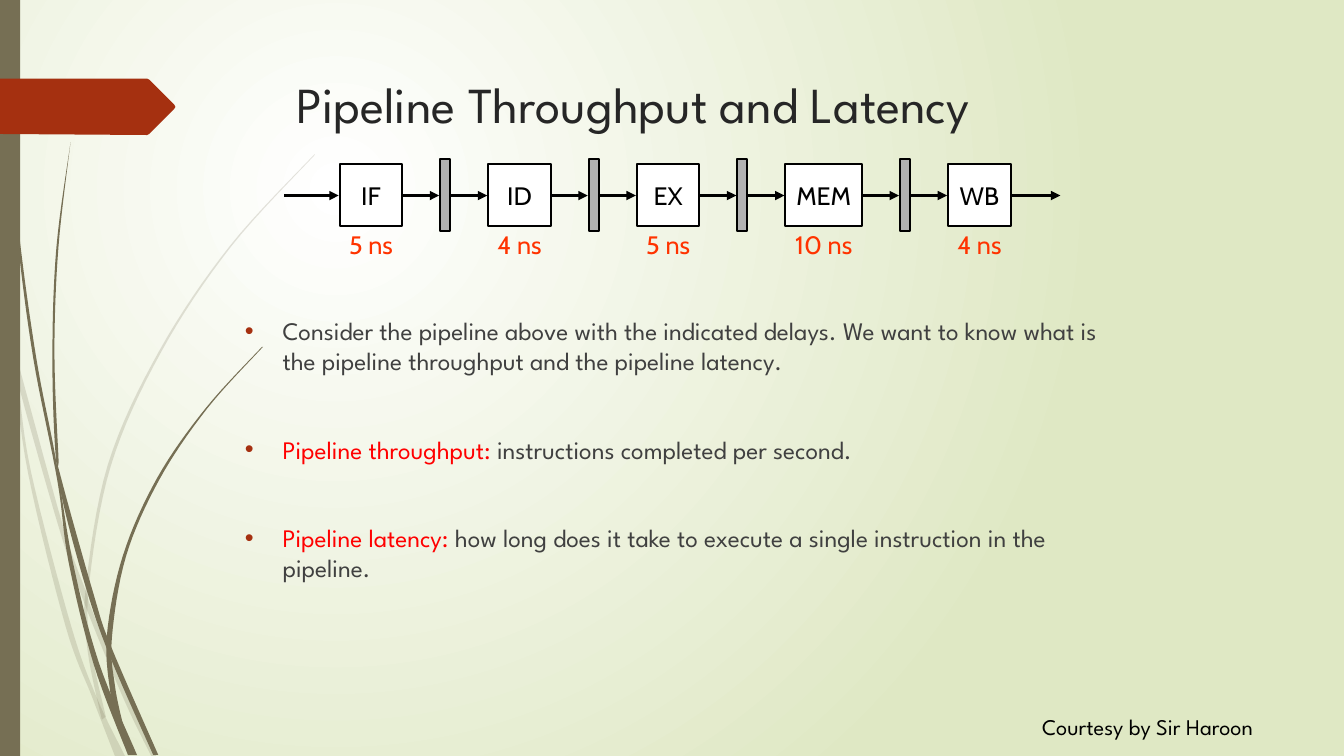
from lxml import etree
from pptx import Presentation, util as u
from pptx.dml.color import RGBColor
from pptx.enum import shapes, text
from pptx.oxml.ns import qn

COLORS = {"bark": "766F54", "tag": "A53010", "title": "262626", "body": "404040",
          "term": "FF0000", "delay": "FF3300", "latch": "B2B2B2",
          "ink": "000000", "paper": "FFFFFF", "meadow": "DFE8C4"}
RGB = {name: RGBColor.from_string(c) for name, c in COLORS.items()}
HEAD, LABEL = "League Spartan", "Cabin"

# Grid: square cells of a tenth of an inch
CELL = u.Inches(0.1)
COLS, ROWS = 133.33, 75

prs = Presentation()
prs.slide_width, prs.slide_height = int(COLS * CELL), ROWS * CELL
s = prs.slides.add_slide(prs.slide_layouts[6])


def add_box(x, y, w, h, fill=None, line=None, wrap=False, anchor="TOP"):
    """Place a rectangle, or a text box when there is no fill."""
    place = [int(v * CELL) for v in (x, y, w, h)]
    if fill:
        sp = s.shapes.add_shape(shapes.MSO_SHAPE.RECTANGLE, *place)
        sp.shadow.inherit = False
        sp.fill.solid()
        sp.fill.fore_color.rgb = RGB[fill]
        if line:
            sp.line.color.rgb, sp.line.width = RGB[line], u.Pt(1.5)
        else:
            sp.line.fill.background()
    else:
        sp = s.shapes.add_textbox(*place)
    sp.text_frame.word_wrap = wrap
    sp.text_frame.vertical_anchor = text.MSO_ANCHOR[anchor]
    return sp


def add_run(p, words, size, font, color):
    r = p.add_run()
    r.text = words
    r.font.size, r.font.name, r.font.color.rgb = u.Pt(size), font, RGB[color]


# Background: glow fading outwards
fill = s.background.fill
fill.gradient()
for stop, name, place in zip(fill.gradient_stops, ("paper", "meadow"), (0, 1)):
    stop.color.rgb, stop.position = RGB[name], place
grad = s.background._cSld.find(".//" + qn("a:gradFill"))
glow = etree.Element(qn("a:path"), path="circle")
etree.SubElement(glow, qn("a:fillToRect"), l="50000", t="50000", r="100000", b="100000")
grad.replace(grad.find(qn("a:lin")), glow)

# Grass blades: opacity, left edge, right edge, each from tip to root
blades = [
    (20, [(0, 29.9), (1.1, 35), (2.8, 47), (6.5, 62.1), (9.2, 69.3), (11.4, 75)],
         [(0, 28.2), (1.7, 37.6), (3.1, 46.9), (7, 61.9), (9.6, 69.2), (12.4, 75)]),
    (20, [(1.4, 34.5), (1.7, 37.6), (5.8, 52.2), (8.4, 59.9), (12.3, 69.4), (15, 75)],
         [(1.4, 34.5), (6.2, 52), (8.5, 58.6), (9.2, 60.7), (12.7, 69.2), (15.5, 75)]),
    (20, [(31.2, 15.3), (22.8, 24.4), (15.8, 34.8), (10.7, 46.1), (8.5, 58.4),
          (8.7, 64.6), (10.1, 71.4)],
         [(31.2, 15.4), (22.9, 24.5), (16, 34.9), (11, 46.2), (8.8, 58.4),
          (9.1, 64.6), (10.5, 71.1)]),
    (100, [(0.3, 0), (0.7, 11), (1.7, 23.3), (3.3, 35.5), (5.7, 47.7), (6.8, 55.7),
           (9.3, 65.9), (12.7, 74.9)],
          [(0.4, 0), (0.8, 10.9), (1.9, 23.2), (3.6, 35.5), (5.5, 45.3), (7.2, 55.6),
           (9.8, 65.7), (13.6, 74.9)]),
    (100, [(7, 14.1), (5.6, 24.5), (5.2, 34.9), (5.5, 44.9), (6.4, 50.5), (8.8, 59.2),
           (11.1, 65.6), (15.2, 74.9)],
          [(7, 14.1), (5.8, 24.5), (5.4, 34.9), (5.8, 45.3), (6, 47.2), (9.3, 59),
           (11, 64.1), (15.7, 74.9)]),
    (100, [(26, 34.4), (20.4, 40.5), (15.6, 47.4), (12.2, 55.1), (10.6, 63.1),
           (11, 69.1), (11.7, 72.2)],
          [(26.1, 34.4), (20.5, 40.6), (15.8, 47.6), (12.5, 55.2), (11.1, 63.3),
           (11.4, 68), (12.2, 71.9)]),
]
STEPS = 8
outlines = []
for opacity, *edges in blades:
    curves = []
    for edge in edges:  # Catmull-Rom curve through the points of the edge
        pts = [edge[0], *edge, edge[-1]]
        curve = [edge[0]]
        for a, b, c, d in zip(pts, pts[1:], pts[2:], pts[3:]):
            for t in [i / STEPS for i in range(1, STEPS + 1)]:
                curve.append([(2 * q + (r - o) * t + (2 * o - 5 * q + 4 * r - e) * t ** 2
                               + (3 * q - o - 3 * r + e) * t ** 3) / 2
                              for o, q, r, e in zip(a, b, c, d)])
        curves.append(curve)
    outlines.append(("bark", opacity, curves[0] + curves[1][::-1]))

# Arrow tag
outlines.append(("tag", 100, [(0, 7.8), (14.6, 7.8), (14.8, 7.9), (17.3, 10.4), (17.4, 10.6),
                              (17.3, 10.8), (14.8, 13.3), (14.6, 13.4), (0, 13.3)]))

# Draw the side bar, the blades and the tag
add_box(0, 0, 2, ROWS, "bark")
for name, opacity, outline in outlines:
    start, *rest = [(int(x * CELL), int(y * CELL)) for x, y in outline]
    pen = s.shapes.build_freeform(*start)
    pen.add_line_segments(rest)
    sp = pen.convert_to_shape()
    sp.shadow.inherit = False
    sp.fill.solid()
    sp.fill.fore_color.rgb = RGB[name]
    sp.line.fill.background()
    solid = sp._element.spPr.find(qn("a:solidFill"))
    etree.SubElement(solid[0], qn("a:alpha"), val=str(opacity * 1000))

# Title
tf = add_box(28.4, 6.8, 97.5, 14, wrap=True).text_frame
add_run(tf.paragraphs[0], "Pipeline Throughput and Latency", 36, HEAD, "title")

# Definitions
points = [
    [("Consider the pipeline above with the indicated delays. We want to know what is "
      "the pipeline throughput and the pipeline latency.", "body")],
    [("Pipeline throughput: ", "term"), ("instructions completed per second.", "body")],
    [("Pipeline latency: ", "term"),
     ("how long does it take to execute a single instruction in the pipeline. ", "body")],
]
tf = add_box(23.3, 30.8, 89.2, 35, wrap=True).text_frame
for i, runs in enumerate(points):
    p = tf.add_paragraph() if i else tf.paragraphs[0]
    p.space_before = u.Pt(41.5 if i else 10)
    pPr = p._p.get_or_add_pPr()
    pPr.set("marL", str(int(3.75 * CELL)))
    pPr.set("indent", str(int(-3.75 * CELL)))
    color = etree.SubElement(pPr, qn("a:buClr"))
    etree.SubElement(color, qn("a:srgbClr"), val=COLORS["tag"])
    etree.SubElement(pPr, qn("a:buFont"), typeface="Arial")
    etree.SubElement(pPr, qn("a:buChar"), char="•")
    for words, name in runs:
        add_run(p, words, 18, HEAD, name)

# Pipeline: stages with their delays, a latch in every gap
stages = [("IF", 5, 6.2), ("ID", 4, 6.2), ("EX", 5, 6.2), ("MEM", 10, 7.6), ("WB", 4, 6.2)]
GAP, LATCH, MID, SPARE = 8.54, 1, 19.4, 1.5
x = 33.7
arrows = [(28.1, x)]
for i, (stage, delay, w) in enumerate(stages):
    labels = [(add_box(x, MID - 3.1, w, 6.1, "paper", "ink", anchor="MIDDLE"), stage, "ink"),
              (add_box(x - SPARE, 22.3, w + 2 * SPARE, 4, anchor="MIDDLE"),
               f"{delay} ns", "delay")]
    for sp, words, name in labels:
        p = sp.text_frame.paragraphs[0]
        p.alignment = text.PP_ALIGN.CENTER
        add_run(p, words, 18, LABEL, name)
    end = x + w
    x = end + GAP
    if i < len(stages) - 1:
        latch = end + (GAP - LATCH) / 2
        add_box(latch, MID - 3.6, LATCH, 7.1, "latch", "ink")
        arrows += [(end, latch), (latch + LATCH, x)]
    else:
        arrows.append((end, 105.3))

# Arrows between the parts
for start, tip in arrows:
    line = s.shapes.add_connector(shapes.MSO_CONNECTOR.STRAIGHT, int((start + 0.1) * CELL),
                                  int(MID * CELL), int((tip - 0.1) * CELL), int(MID * CELL))
    line.line.color.rgb, line.line.width = RGB["ink"], u.Pt(2.25)
    etree.SubElement(line.line._get_or_add_ln(), qn("a:tailEnd"), type="triangle")
    etree.SubElement(line._element.spPr, qn("a:effectLst"))

# Credit line
tf = add_box(102.4, 70.3, 33.3, 6.7, wrap=True).text_frame
add_run(tf.paragraphs[0], "Courtesy by Sir Haroon", 16, HEAD, "ink")

prs.save("out.pptx")
